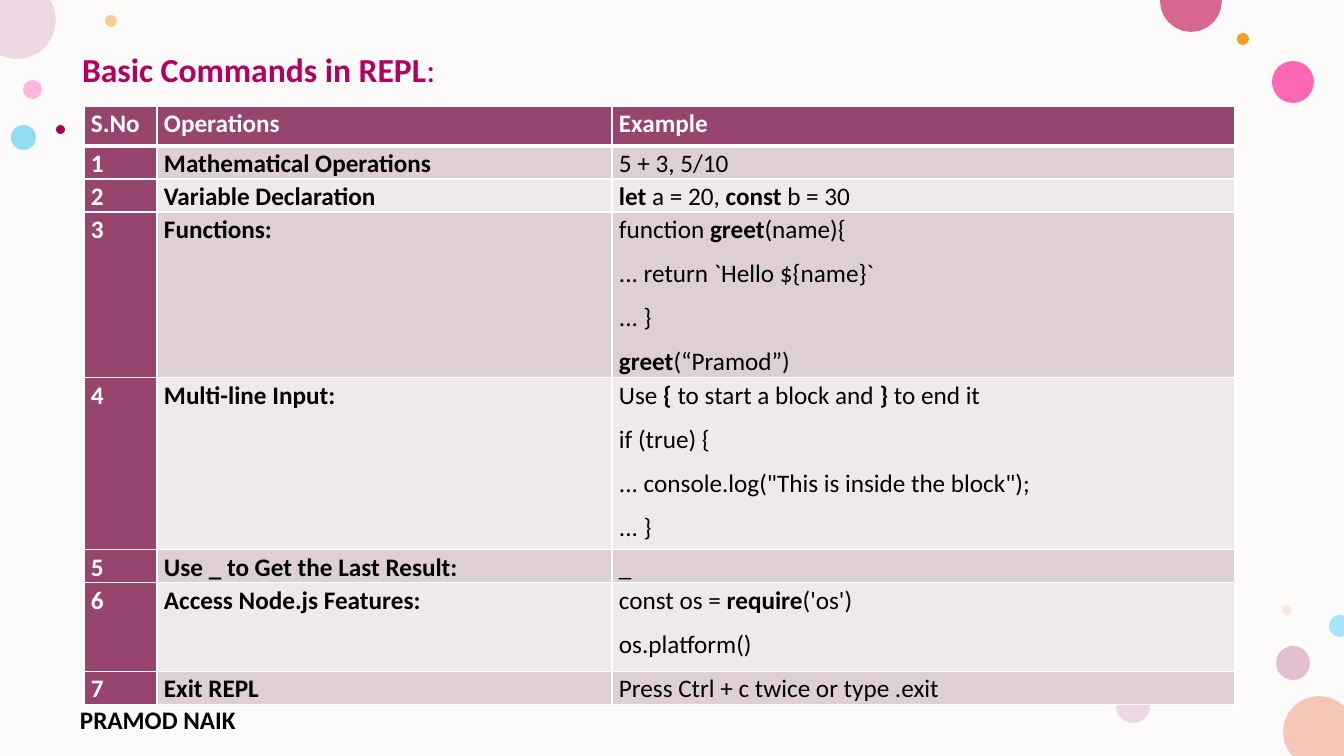
import math

from lxml import etree
from pptx import Presentation
from pptx.dml.color import RGBColor
from pptx.enum.shapes import MSO_SHAPE
from pptx.enum.text import MSO_ANCHOR, PP_ALIGN
from pptx.oxml.ns import qn
from pptx.util import Emu, Pt

OVAL = MSO_SHAPE.OVAL
RECTANGLE = MSO_SHAPE.RECTANGLE
TOP = MSO_ANCHOR.TOP
LEFT = PP_ALIGN.LEFT

PX = 914400 / 100.8
SLIDE_W, SLIDE_H = 1344, 756
FONT = "Calibri"
TITLE_ONLY = 5
ARC_STEPS = 12

CREAM = RGBColor(0xFD, 0xFB, 0xF9)
WHITE = RGBColor(0xFF, 0xFF, 0xFF)
BLACK = RGBColor(0x00, 0x00, 0x00)
MAGENTA = RGBColor(0xB1, 0x00, 0x5E)
PLUM = RGBColor(0x97, 0x44, 0x6E)
ROW_DARK = RGBColor(0xDD, 0xCF, 0xD5)
ROW_LIGHT = RGBColor(0xEF, 0xE9, 0xEB)
PINK = RGBColor(0xFF, 0x75, 0xBD)
HOT_PINK = RGBColor(0xFF, 0x2F, 0x9C)
ORANGE = RGBColor(0xF3, 0x9E, 0x29)
MAUVE = RGBColor(0xC9, 0x87, 0xA8)
SKY = RGBColor(0x24, 0xBE, 0xEE)
PALE_SKY = RGBColor(0xA7, 0xE5, 0xF8)
BLUSH = RGBColor(0xE3, 0xBE, 0xBE)
LILAC = RGBColor(0xED, 0xD7, 0xE2)
PEACH = RGBColor(0xF6, 0xC7, 0xB9)
ROSE = RGBColor(0xD6, 0x65, 0x8F)
WINE = RGBColor(0xA4, 0x00, 0x56)

# left, top, diameter, colour, opacity in percent
DOTS = [
    (23, 80, 19, PINK, 50),
    (105, 15, 12, ORANGE, 50),
    (1276, 646, 34, MAUVE, 50),
    (11, 125, 25, SKY, 50),
    (1272, 61, 42, HOT_PINK, 72),
    (1237, 33, 12, ORANGE, 100),
    (1282, 605, 10, BLUSH, 28),
    (1148, 675, 12, SKY, 100),
    (1116, 689, 34, LILAC, 100),
    (1095, 684, 12, PEACH, 100),
    (56, 125, 9, WINE, 100),
]

# centre x, centre y, radius, first and last angle, corners that close it, colour
EDGE_DOTS = [
    (1319, 732, 36, 138, 314, [(SLIDE_W, SLIDE_H)], PEACH),
    (17, 20, 39, -31, 116, [(0, 0)], LILAC),
    (1191, 1, 31, -2, 182, [], ROSE),
    (1340, 626, 11, 69, 291, [], PALE_SKY),
]

# Bold passages stand between double asterisks
HEADINGS = ["S.No", "Operations", "Example"]
COMMANDS = [
    ("Mathematical Operations", ["5 + 3, 5/10"]),
    ("Variable Declaration", ["**let** a = 20, **const** b = 30"]),
    ("Functions:", ["function **greet**(name){", "... return `Hello ${name}`",
                    "... }", "**greet**(“Pramod”)"]),
    ("Multi-line Input:", ["Use **{ **to start a block and **}** to end it",
                           "if (true) {",
                           '... console.log("This is inside the block");',
                           "... }"]),
    ("Use _ to Get the Last Result:", ["_"]),
    ("Access Node.js Features:", ["const os = **require**('os')",
                                  "os.platform()"]),
    ("Exit REPL", ["Press Ctrl + c twice or type .exit"]),
]
COLUMN_WIDTHS = [73, 455, 623]
ROW_HEIGHTS = [40, 33, 33, 166, 172, 33, 89, 33]


def px(length):
    return Emu(round(length * PX))


def write_text(frame, lines, *, size=18, color=BLACK, line_spacing=None,
               before=0, after=0):
    frame.word_wrap = True
    for index, line in enumerate(lines):
        paragraph = frame.paragraphs[0] if index == 0 else frame.add_paragraph()
        paragraph.alignment = LEFT
        paragraph.line_spacing = line_spacing
        paragraph.space_before = Pt(before)
        paragraph.space_after = Pt(after)
        for part, passage in enumerate(line.split("**")):
            if passage:
                run = paragraph.add_run()
                run.text = passage
                run.font.name = FONT
                run.font.size = Pt(size)
                run.font.bold = part % 2 == 1
                run.font.color.rgb = color


def paint(shape, color, opacity=100):
    shape.shadow.inherit = False
    shape.line.fill.background()
    shape.fill.solid()
    shape.fill.fore_color.rgb = color
    if opacity < 100:
        tint = shape.element.spPr.find(qn("a:solidFill"))[0]
        etree.SubElement(tint, qn("a:alpha"), val=str(opacity * 1000))


def add_preset(slide, preset, left, top, width, height, color, opacity=100):
    shape = slide.shapes.add_shape(preset, px(left), px(top), px(width), px(height))
    paint(shape, color, opacity)


def add_edge_dot(slide, center_x, center_y, radius, first, last, corners, color):
    """Draw the part of a circle that lies inside the slide's edges."""
    outline = []
    for step in range(ARC_STEPS + 1):
        angle = math.radians(first + (last - first) * step / ARC_STEPS)
        x = center_x + radius * math.cos(angle)
        y = center_y + radius * math.sin(angle)
        outline.append((min(max(x, 0), SLIDE_W), min(max(y, 0), SLIDE_H)))
    points = [(px(x), px(y)) for x, y in outline + corners]
    builder = slide.shapes.build_freeform(*points[0])
    builder.add_line_segments(points[1:], close=True)
    paint(builder.convert_to_shape(), color)


def set_borders(cell, top=1, bottom=1):
    properties = cell._tc.get_or_add_tcPr()
    widths = {"a:lnL": 1, "a:lnR": 1, "a:lnT": top, "a:lnB": bottom}
    for position, (side, width) in enumerate(widths.items()):
        border = etree.Element(qn(side), w=str(Pt(width)))
        fill = etree.SubElement(border, qn("a:solidFill"))
        etree.SubElement(fill, qn("a:srgbClr"), val=str(WHITE))
        properties.insert(position, border)


def fill_cell(cell, lines, fill, color, top=1, bottom=1):
    cell.margin_left = cell.margin_right = px(7)
    cell.margin_top = cell.margin_bottom = 0
    cell.vertical_anchor = TOP
    cell.fill.solid()
    cell.fill.fore_color.rgb = fill
    set_borders(cell, top, bottom)
    write_text(cell.text_frame, lines, color=color, line_spacing=1.07, after=8)


def add_commands_table(slide, left, top):
    commands = slide.shapes.add_table(
        len(ROW_HEIGHTS), len(COLUMN_WIDTHS), px(left), px(top),
        px(sum(COLUMN_WIDTHS)), px(sum(ROW_HEIGHTS))).table
    for column, width in zip(commands.columns, COLUMN_WIDTHS):
        column.width = px(width)
    for row, height in zip(commands.rows, ROW_HEIGHTS):
        row.height = px(height)

    for column, heading in enumerate(HEADINGS):
        fill_cell(commands.cell(0, column), [f"**{heading}**"], PLUM, WHITE, bottom=3)
    for number, (operation, example) in enumerate(COMMANDS, start=1):
        band = ROW_DARK if number % 2 else ROW_LIGHT
        top_width = 3 if number == 1 else 1
        fill_cell(commands.cell(number, 0), [f"**{number}**"], PLUM, WHITE, top_width)
        fill_cell(commands.cell(number, 1), [f"**{operation}**"], band, BLACK, top_width)
        fill_cell(commands.cell(number, 2), example, band, BLACK, top_width)


def main():
    deck = Presentation()
    deck.slide_width, deck.slide_height = px(SLIDE_W), px(SLIDE_H)
    slide = deck.slides.add_slide(deck.slide_layouts[TITLE_ONLY])

    # Backdrop and decoration, with the title kept in front
    title = slide.shapes.title
    add_preset(slide, RECTANGLE, 0, 0, SLIDE_W, SLIDE_H, CREAM)
    for left, top, diameter, color, opacity in DOTS:
        add_preset(slide, OVAL, left, top, diameter, diameter, color, opacity)
    for edge_dot in EDGE_DOTS:
        add_edge_dot(slide, *edge_dot)

    # Author
    author = slide.shapes.add_textbox(px(70), px(699), px(247), px(32))
    write_text(author.text_frame, ["**PRAMOD NAIK**"])

    # Title
    author.element.addnext(title.element)
    title.left, title.top, title.width, title.height = px(72), px(48), px(1175), px(48)
    title.text_frame.vertical_anchor = TOP
    write_text(title.text_frame, ["**Basic Commands in REPL**:"], size=24,
               color=MAGENTA, line_spacing=0.9, before=10)

    # Commands
    add_commands_table(slide, 84, 106)

    deck.save("out.pptx")


if __name__ == "__main__":
    main()
